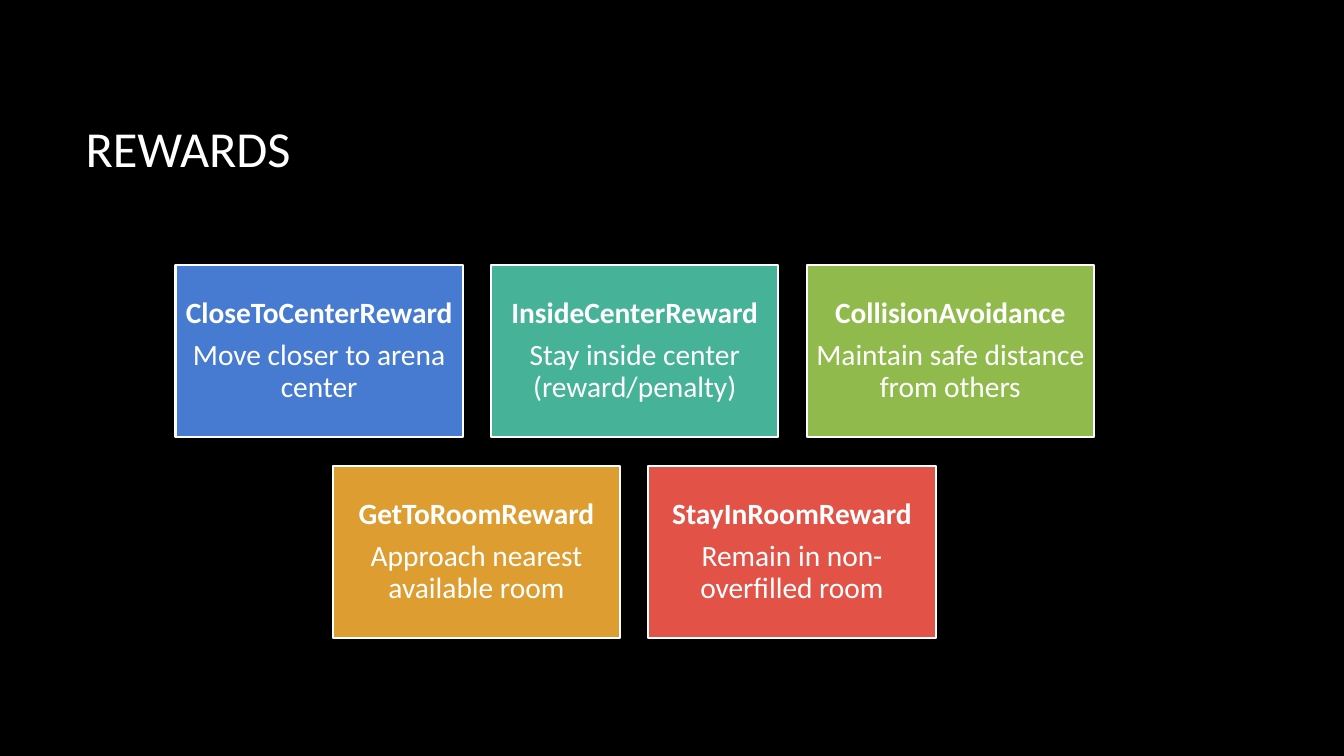
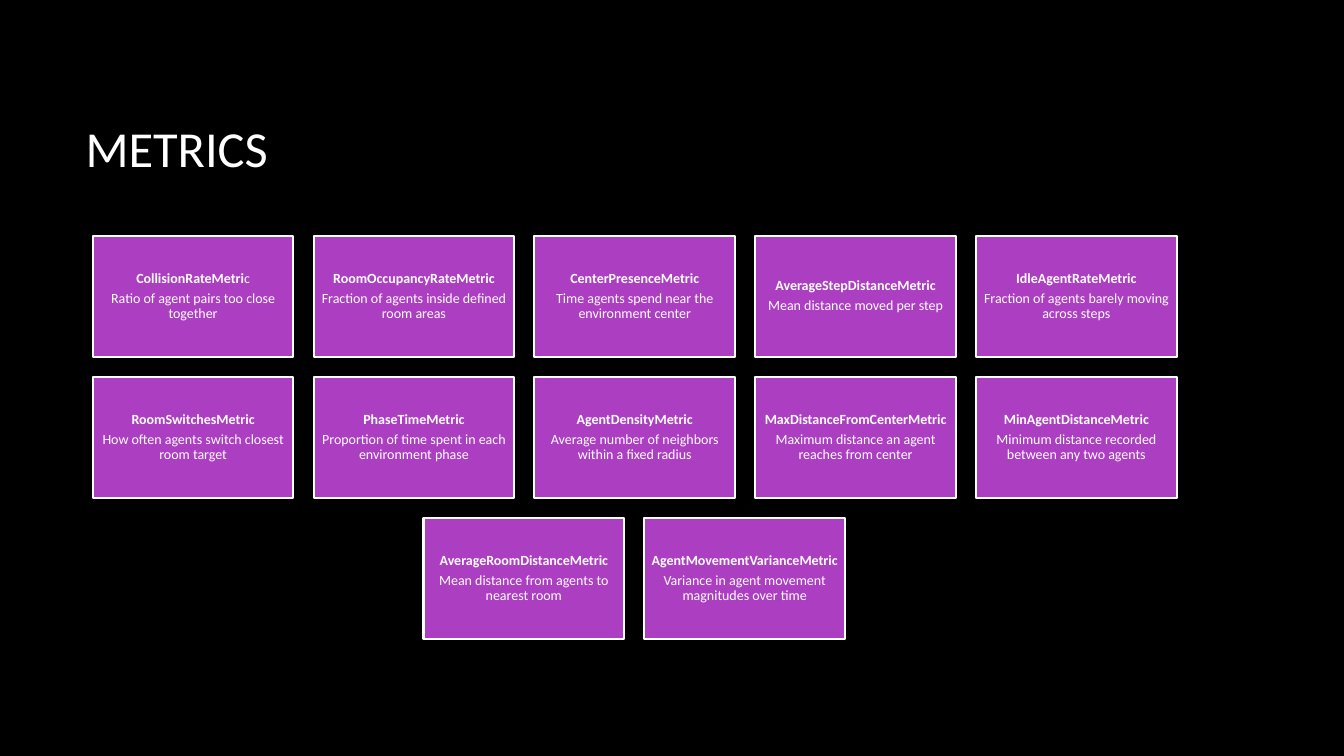
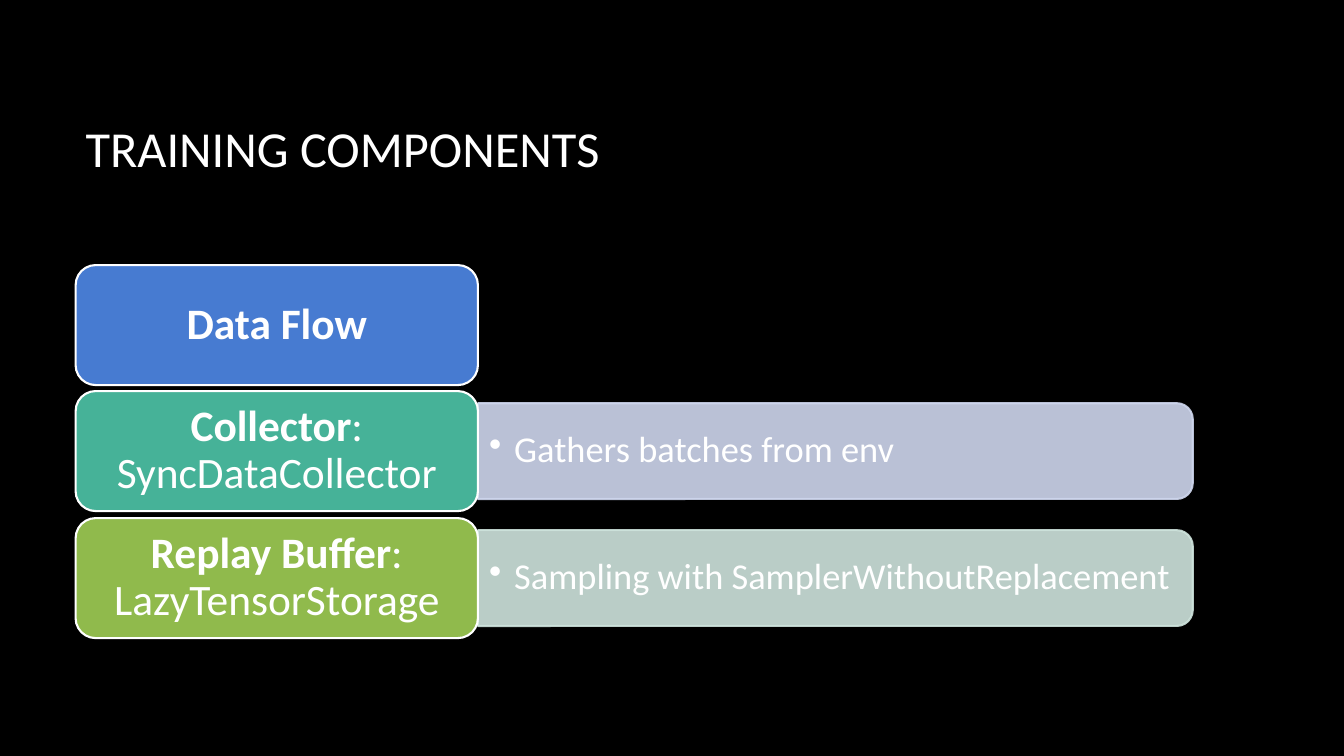
import pptx
import pptx.dml.color
import pptx.enum.shapes
import pptx.enum.text
import pptx.oxml
import pptx.oxml.ns
import pptx.util

RGB = pptx.dml.color.RGBColor
SHAPE = pptx.enum.shapes.MSO_SHAPE
ALIGN = pptx.enum.text.PP_ALIGN

# Colours
BLACK = RGB(0x00, 0x00, 0x00)
WHITE = RGB(0xFF, 0xFF, 0xFF)
BLUE = RGB(0x47, 0x7B, 0xD1)
TEAL = RGB(0x46, 0xB2, 0x98)
GREEN = RGB(0x90, 0xBA, 0x4C)
ORANGE = RGB(0xDD, 0x9D, 0x31)
RED = RGB(0xE2, 0x52, 0x47)
PURPLE = RGB(0xAC, 0x3E, 0xC1)
PALE_BLUE = RGB(0xCF, 0xD7, 0xEE)
PALE_TEAL = RGB(0xCF, 0xE4, 0xDD)

# Layout in px, 100 px to the inch
EMU_PER_PX = 9144
SLIDE_WIDTH, SLIDE_HEIGHT = 1333, 750
LEFT, WIDTH = 75, 1108
CENTER = LEFT + WIDTH // 2
FONT = "Calibri"


def px(length):
    return pptx.util.Emu(length * EMU_PER_PX)


def write_text(frame, paragraphs, *, size, align=ALIGN.CENTER, inset=(10, 5),
               line_spacing=0.9, space_after=0.35, bullet_indent=0):
    """Each paragraph is a list of (text, bold) runs."""
    frame.word_wrap = True
    frame.vertical_anchor = pptx.enum.text.MSO_ANCHOR.MIDDLE
    frame.margin_left = frame.margin_right = px(inset[0])
    frame.margin_top = frame.margin_bottom = px(inset[1])
    for index, runs in enumerate(paragraphs):
        paragraph = frame.add_paragraph() if index else frame.paragraphs[0]
        if bullet_indent:
            properties = paragraph._p.get_or_add_pPr()
            properties.set("marL", str(px(bullet_indent)))
            properties.set("indent", str(-px(bullet_indent)))
            bullet = pptx.oxml.parse_xml(
                f'<a:buChar {pptx.oxml.ns.nsdecls("a")} char="•"/>')
            properties.append(bullet)
        paragraph.alignment = align
        paragraph.line_spacing = line_spacing
        if index < len(paragraphs) - 1:
            paragraph.space_after = pptx.util.Pt(round(size * space_after, 2))
        for text, bold in runs:
            run = paragraph.add_run()
            run.text = text
            run.font.name = FONT
            run.font.size = pptx.util.Pt(size)
            run.font.bold = bold
            run.font.color.rgb = WHITE


class Deck:
    def __init__(self):
        self.presentation = pptx.Presentation()
        self.presentation.slide_width = px(SLIDE_WIDTH)
        self.presentation.slide_height = px(SLIDE_HEIGHT)
        self.slide = None

    def new_slide(self, title):
        self.slide = self.presentation.slides.add_slide(
            self.presentation.slide_layouts[6])
        self.slide.background.fill.solid()
        self.slide.background.fill.fore_color.rgb = BLACK
        self.text_box((LEFT, 67, WIDTH, 159), [[(title, False)]], size=36,
                      align=ALIGN.LEFT, line_spacing=1.0)

    def text_box(self, box, paragraphs, **style):
        text_box = self.slide.shapes.add_textbox(*map(px, box))
        write_text(text_box.text_frame, paragraphs, **style)

    def shape(self, kind, box, fill, line=WHITE, opacity=100):
        shape = self.slide.shapes.add_shape(kind, *map(px, box))
        shape.shadow.inherit = False
        shape.fill.solid()
        shape.fill.fore_color.rgb = fill
        shape.line.color.rgb = line
        shape.line.width = pptx.util.Pt(1.5)
        if opacity < 100:
            for color in shape._element.spPr.iter(pptx.oxml.ns.qn("a:srgbClr")):
                color.append(pptx.oxml.parse_xml(
                    f'<a:alpha {pptx.oxml.ns.nsdecls("a")} val="{opacity * 1000}"/>'))
        return shape

    def card_grid(self, rows, top, width, height, gap, size, inset):
        """Rows of (fill, paragraphs) cards, each row centred."""
        for row, cards in enumerate(rows):
            row_width = len(cards) * (width + gap) - gap
            for column, (fill, paragraphs) in enumerate(cards):
                box = (CENTER - row_width // 2 + column * (width + gap),
                       top + row * (height + gap), width, height)
                card = self.shape(SHAPE.RECTANGLE, box, fill)
                write_text(card.text_frame, paragraphs, size=size,
                           inset=(inset, inset))

    def stage(self, top, width, height, fill, runs):
        stage = self.shape(SHAPE.ROUNDED_RECTANGLE, (LEFT, top, width, height), fill)
        write_text(stage.text_frame, [runs], size=31, inset=(13, 6))

    def detail_bar(self, left, top, width, height, fill, text):
        # The shape stands upright and is turned, so its rounded end faces right
        upright = (left + (width - height) // 2, top - (width - height) // 2,
                   height, width)
        bar = self.shape(SHAPE.ROUND_2_SAME_RECTANGLE, upright, fill, fill, 90)
        bar.rotation = 90
        self.text_box((left, top, width, height), [[(text, False)]], size=26,
                      align=ALIGN.LEFT, inset=(11, 5), bullet_indent=25)


def named(name, description):
    return [[(name, True)], [(description, False)]]


def rewards(deck):
    deck.new_slide("REWARDS")
    rows = [
        [(BLUE, named("CloseToCenterReward", "Move closer to arena center")),
         (TEAL, named("InsideCenterReward", "Stay inside center (reward/penalty)")),
         (GREEN, named("CollisionAvoidance", "Maintain safe distance from others"))],
        [(ORANGE, named("GetToRoomReward", "Approach nearest available room")),
         (RED, named("StayInRoomReward", "Remain in non-overfilled room"))],
    ]
    deck.card_grid(rows, top=263, width=285, height=171, gap=28, size=21, inset=8)


def metrics(deck):
    deck.new_slide("METRICS")
    collision_rate = [[("CollisionRateMetri", True), ("c", False)],
                      [("Ratio of agent pairs too close together", False)]]
    cards = [collision_rate] + [named(*words) for words in (
        ("RoomOccupancyRateMetric", "Fraction of agents inside defined room areas"),
        ("CenterPresenceMetric", "Time agents spend near the environment center"),
        ("AverageStepDistanceMetric", "Mean distance moved per step"),
        ("IdleAgentRateMetric", "Fraction of agents barely moving across steps"),
        ("RoomSwitchesMetric", "How often agents switch closest room target"),
        ("PhaseTimeMetric", "Proportion of time spent in each environment phase"),
        ("AgentDensityMetric", "Average number of neighbors within a fixed radius"),
        ("MaxDistanceFromCenterMetric", "Maximum distance an agent reaches from center"),
        ("MinAgentDistanceMetric", "Minimum distance recorded between any two agents"),
        ("AverageRoomDistanceMetric", "Mean distance from agents to nearest room"),
        ("AgentMovementVarianceMetric", "Variance in agent movement magnitudes over time"),
    )]
    per_row = 5
    rows = [[(PURPLE, card) for card in cards[start:start + per_row]]
            for start in range(0, len(cards), per_row)]
    deck.card_grid(rows, top=234, width=199, height=120, gap=20, size=10, inset=4)


def training_components(deck):
    deck.new_slide("TRAINING COMPONENTS")
    top, bottom, width, height, margin = 263, 633, 399, 119, 12
    stages = [
        (BLUE, [("Data Flow", True)], None, None),
        (TEAL, [("Collector", True), (": SyncDataCollector", False)],
         PALE_BLUE, "Gathers batches from env"),
        (GREEN, [("Replay Buffer", True), (": LazyTensorStorage", False)],
         PALE_TEAL, "Sampling with SamplerWithoutReplacement"),
    ]
    for row, (fill, runs, pale, detail) in enumerate(stages):
        stage_top = top + row * (bottom - height - top) // (len(stages) - 1)
        if detail:
            deck.detail_bar(LEFT + width, stage_top + margin, WIDTH - width,
                            height - 2 * margin, pale, detail)
        deck.stage(stage_top, width, height, fill, runs)


def main():
    deck = Deck()
    rewards(deck)
    metrics(deck)
    training_components(deck)
    deck.presentation.save("out.pptx")


if __name__ == "__main__":
    main()
